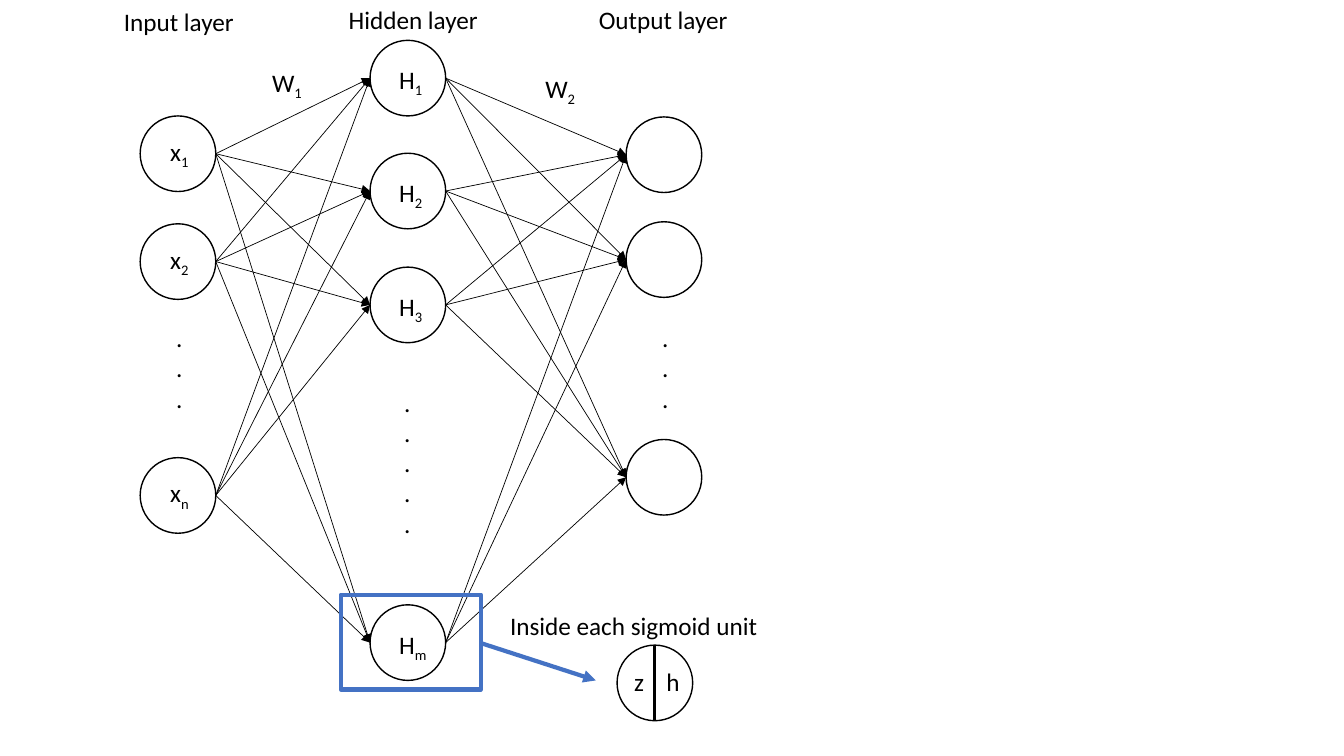
from itertools import product

from lxml import etree
from pptx import Presentation
from pptx.dml.color import RGBColor
from pptx.enum.shapes import MSO_CONNECTOR, MSO_SHAPE
from pptx.enum.text import MSO_AUTO_SIZE
from pptx.oxml.ns import qn
from pptx.util import Inches, Pt

BLACK = RGBColor(0x00, 0x00, 0x00)
BLUE = RGBColor(0x44, 0x72, 0xC4)
DIAMETER = 0.75
RADIUS = DIAMETER / 2
LABEL_HEIGHT = 0.4

INPUT_LEFT, HIDDEN_LEFT, OUTPUT_LEFT = 1.39, 3.67, 6.21
INPUT_NODES = {"1": 1.15, "2": 2.22, "n": 4.54}
HIDDEN_NODES = {"1": 0.4, "2": 1.52, "3": 2.65, "m": 6.0}
OUTPUT_TOPS = [1.16, 2.2, 4.36]


def write_text(paragraph, text, size=18, color=BLACK, font="Calibri", subscript=False):
    run = paragraph.add_run()
    run.text = text
    run.font.name = font
    run.font.size = Pt(size)
    run.font.color.rgb = color
    if subscript:
        run.font._element.set("baseline", "-25000")


class NetworkDiagram:
    """Draws outlined shapes, lines and labels in one style on one slide."""

    def __init__(self, slide):
        self.slide = slide

    def outline(self, kind, left, top, width, height, color=BLACK, weight=1):
        shape = self.slide.shapes.add_shape(
            kind, Inches(left), Inches(top), Inches(width), Inches(height))
        shape.shadow.inherit = False
        shape.fill.background()
        shape.line.color.rgb = color
        shape.line.width = Pt(weight)

    def circle(self, left, top):
        self.outline(MSO_SHAPE.OVAL, left, top, DIAMETER, DIAMETER)

    def line(self, start, end, color=BLACK, weight=0.5, arrow=True):
        connector = self.slide.shapes.add_connector(
            MSO_CONNECTOR.STRAIGHT, *(Inches(value) for value in (*start, *end)))
        connector.line.color.rgb = color
        connector.line.width = Pt(weight)
        if arrow:
            outline = connector.line._get_or_add_ln()
            etree.SubElement(outline, qn("a:tailEnd"), type="triangle")
        etree.SubElement(connector._element.spPr, qn("a:effectLst"))

    def label(self, left, top, width, lines, height=LABEL_HEIGHT, subscript="", tab=None):
        box = self.slide.shapes.add_textbox(
            Inches(left), Inches(top), Inches(width), Inches(height))
        frame = box.text_frame
        frame.word_wrap = tab is not None
        frame.auto_size = MSO_AUTO_SIZE.SHAPE_TO_FIT_TEXT
        for index, text in enumerate(lines):
            paragraph = frame.add_paragraph() if index else frame.paragraphs[0]
            if tab:
                stops = etree.SubElement(
                    paragraph._p.get_or_add_pPr(), qn("a:tabLst"))
                etree.SubElement(stops, qn("a:tab"), pos=str(Inches(tab)), algn="l")
            write_text(paragraph, text)
            if subscript:
                write_text(paragraph, subscript, subscript=True)

    def connect_layers(self, left, tops, next_left, next_tops):
        """Draw an arrow from every node of a layer to every node of the next."""
        for top, next_top in product(tops, next_tops):
            self.line((left + DIAMETER, top + RADIUS), (next_left, next_top + RADIUS))


def main():
    presentation = Presentation()
    presentation.slide_width = Inches(13.33)
    presentation.slide_height = Inches(7.5)
    slide = presentation.slides.add_slide(presentation.slide_layouts[6])
    diagram = NetworkDiagram(slide)

    for name, top in INPUT_NODES.items():
        diagram.circle(INPUT_LEFT, top)
        diagram.label(INPUT_LEFT + 0.2, top + 0.15, 0.4, ["x"], subscript=name)
    for name, top in HIDDEN_NODES.items():
        diagram.circle(HIDDEN_LEFT, top)
        width = 0.49 if name == "m" else 0.45
        diagram.label(HIDDEN_LEFT + 0.19, top + 0.19, width, ["H"], subscript=name)
    for top in OUTPUT_TOPS:
        diagram.circle(OUTPUT_LEFT, top)

    for left, top, count, height in [
            (1.65, 3.15, 3, 1.01), (3.91, 3.79, 5, 1.92), (6.47, 3.15, 3, 1.01)]:
        diagram.label(left, top, 0.27, ["."] * count, height=height)

    hidden_tops = HIDDEN_NODES.values()
    diagram.connect_layers(INPUT_LEFT, INPUT_NODES.values(), HIDDEN_LEFT, hidden_tops)
    diagram.connect_layers(HIDDEN_LEFT, hidden_tops, OUTPUT_LEFT, OUTPUT_TOPS)
    diagram.label(2.6, 0.62, 0.51, ["W"], subscript="1")
    diagram.label(5.31, 0.68, 0.51, ["W"], subscript="2")

    diagram.outline(MSO_SHAPE.RECTANGLE, 3.38, 5.9, 1.39, 0.94, color=BLUE, weight=3)
    diagram.line((4.77, 6.38), (5.91, 6.75), color=BLUE, weight=3)
    unit_left, unit_top = 6.12, 6.4
    unit_center = unit_left + RADIUS
    diagram.circle(unit_left, unit_top)
    diagram.label(6.19, 6.56, 0.67, ["z\th"], tab=0.32)
    diagram.line((unit_center, unit_top), (unit_center, unit_top + DIAMETER),
                 weight=2.25, arrow=False)

    for left, top, width, text in [
            (1.13, 0.01, 1.31, "Input layer"),
            (3.36, -0.01, 1.5, "Hidden layer"),
            (5.84, -0.01, 1.49, "Output layer"),
            (4.96, 6.01, 2.68, "Inside each sigmoid unit")]:
        diagram.label(left, top, width, [text])

    presentation.save("out.pptx")


if __name__ == "__main__":
    main()
